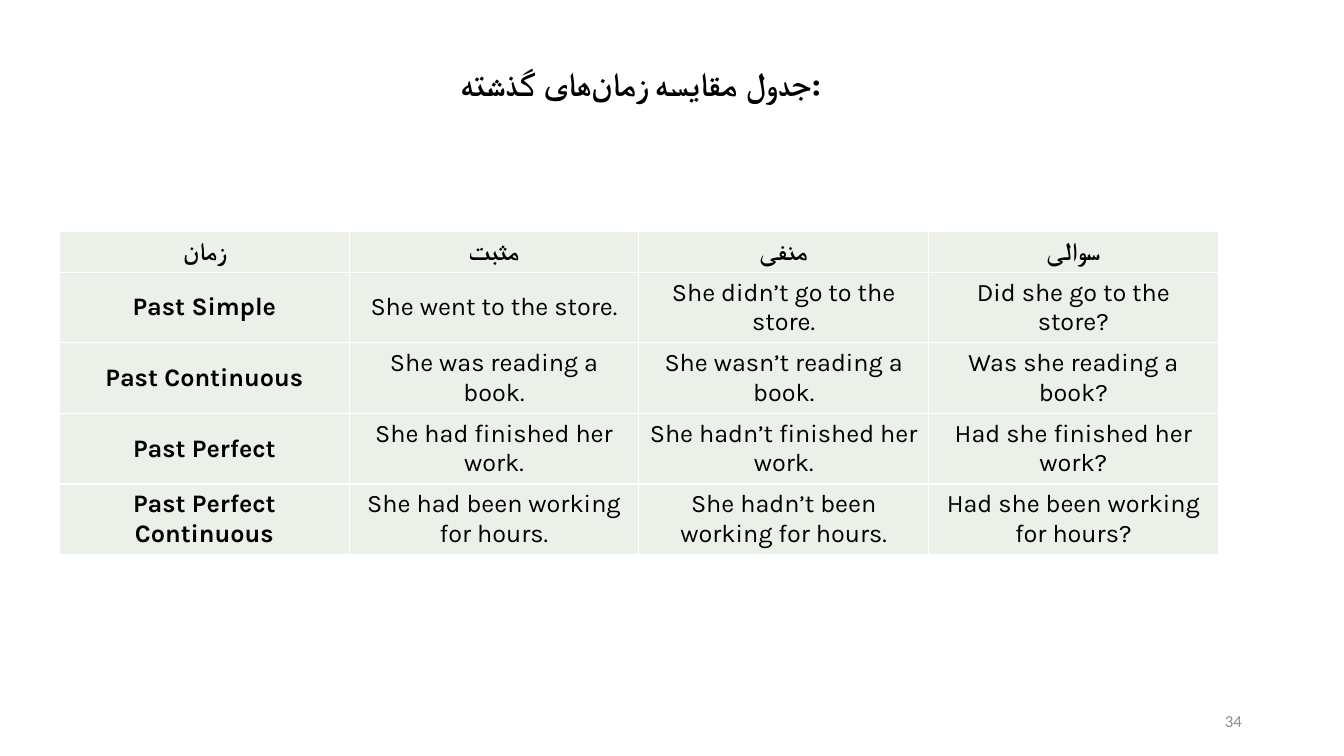
from dataclasses import dataclass

from lxml.etree import SubElement
from pptx import Presentation
from pptx.dml.color import RGBColor
from pptx.enum.text import MSO_ANCHOR as Anchor, PP_ALIGN as Align
from pptx.oxml.ns import qn
from pptx.util import Cm, Pt


@dataclass(frozen=True)
class Theme:
    black: str = "000000"
    gray: str = "8C8C8C"
    white: str = "FFFFFF"
    sage: str = "EBF1E9"
    body_font: str = "Karla"
    number_font: str = "Calibri"
    title_size: int = 24
    table_size: int = 18
    number_size: int = 12


THEME = Theme()

NON_JOINER = chr(0x200C)  # keeps the Persian plural ending unjoined
TITLE = f"جدول مقایسه زمان{NON_JOINER}های گذشته:"
TENSES = [
    ["زمان", "مثبت", "منفی", "سوالی"],
    ["Past Simple", "She went to the store.",
     "She didn’t go to the store.", "Did she go to the store?"],
    ["Past Continuous", "She was reading a book.",
     "She wasn’t reading a book.", "Was she reading a book?"],
    ["Past Perfect", "She had finished her work.",
     "She hadn’t finished her work.", "Had she finished her work?"],
    ["Past Perfect Continuous", "She had been working for hours.",
     "She hadn’t been working for hours.", "Had she been working for hours?"],
]
COLUMN_WIDTH = Cm(7.3)
HEADER_HEIGHT = Cm(0.88)
ROW_HEIGHT = Cm(1.75)


def write_text(frame, text, align, size, name=THEME.body_font,
               color=THEME.black, bold=False):
    para = frame.paragraphs[0]
    para.alignment = align
    span = para.add_run()
    span.text = text
    formats = {"name": name, "size": Pt(size), "bold": bold}
    for key, value in formats.items():
        setattr(span.font, key, value)
    span.font.color.rgb = RGBColor.from_string(color)
    # Persian letters take the complex-script font
    SubElement(span.font._element, qn("a:cs"), typeface=name)


def add_label(page, place, text, align, anchor, **style):
    box = page.shapes.add_textbox(*(Cm(length) for length in place))
    frame = box.text_frame
    frame.word_wrap = True
    frame.vertical_anchor = anchor
    write_text(frame, text, align, **style)


def outline_cell(cell):
    properties = cell._tc.get_or_add_tcPr()
    for index, side in enumerate(("a:lnL", "a:lnR", "a:lnT", "a:lnB")):
        line = properties.makeelement(qn(side), {"w": str(Pt(1))})
        fill = SubElement(line, qn("a:solidFill"))
        SubElement(fill, qn("a:srgbClr"), val=THEME.white)
        properties.insert(index, line)


def add_tense_table(page, left, top, rows):
    height = HEADER_HEIGHT + ROW_HEIGHT * (len(rows) - 1)
    table = page.shapes.add_table(len(rows), len(rows[0]), left, top,
                                  COLUMN_WIDTH * len(rows[0]), height).table
    table.first_row = table.horz_banding = False
    for column in table.columns:
        column.width = COLUMN_WIDTH
    for r, texts in enumerate(rows):
        table.rows[r].height = ROW_HEIGHT if r else HEADER_HEIGHT
        for c, text in enumerate(texts):
            cell = table.cell(r, c)
            cell.fill.solid()
            cell.fill.fore_color.rgb = RGBColor.from_string(THEME.sage)
            cell.vertical_anchor = Anchor.MIDDLE
            outline_cell(cell)
            write_text(cell.text_frame, text, Align.CENTER,
                       THEME.table_size, bold=r == 0 or c == 0)


def main():
    deck = Presentation()
    deck.slide_width, deck.slide_height = Cm(33.87), Cm(19.05)
    page = deck.slides.add_slide(deck.slide_layouts[6])

    # Slide number
    add_label(page, (23.93, 17.65, 7.62, 1.02), "34", Align.RIGHT,
              Anchor.MIDDLE, size=THEME.number_size,
              name=THEME.number_font, color=THEME.gray)

    # Comparison of the past tenses
    add_tense_table(page, Cm(1.5), Cm(5.84), TENSES)

    # Title
    add_label(page, (11.35, 1.46, 11.18, 4), TITLE, Align.LEFT,
              Anchor.TOP, size=THEME.title_size, bold=True)

    deck.save("out.pptx")


if __name__ == "__main__":
    main()
